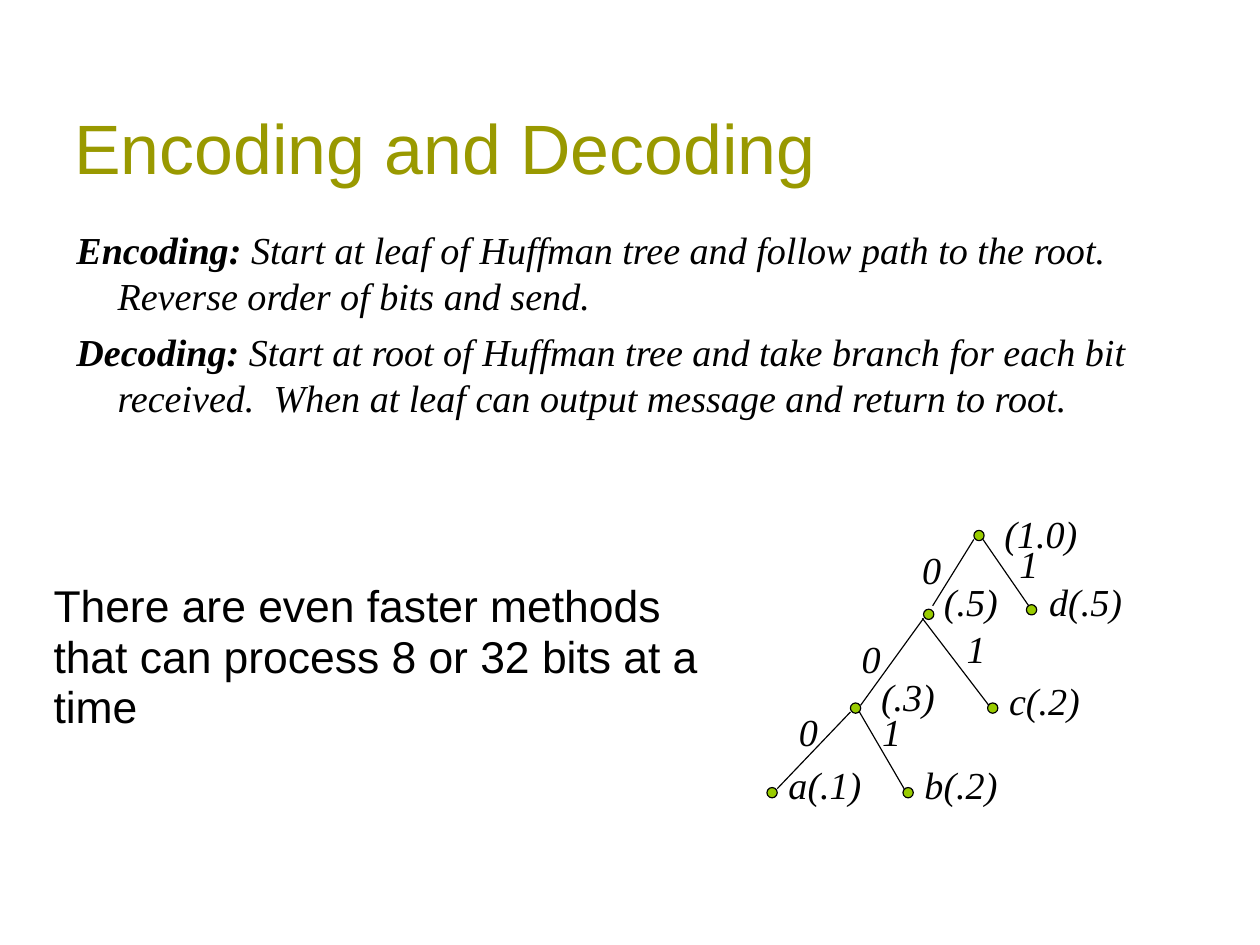
from lxml import etree
from pptx import Presentation
from pptx.dml.color import RGBColor
from pptx.enum.shapes import MSO_CONNECTOR, MSO_SHAPE
from pptx.enum.text import MSO_ANCHOR, MSO_AUTO_SIZE
from pptx.oxml.ns import qn
from pptx.util import Cm, Inches, Pt

STRAIGHT = MSO_CONNECTOR.STRAIGHT
OVAL = MSO_SHAPE.OVAL
TOP, BOTTOM = MSO_ANCHOR.TOP, MSO_ANCHOR.BOTTOM
GROW, FIXED = MSO_AUTO_SIZE.SHAPE_TO_FIT_TEXT, MSO_AUTO_SIZE.NONE

NODES = [
    (8.52, 4.64, "(1.0)", 8.69, 4.42, 0.84),
    (8.08, 5.33, "(.5)", 8.16, 5.01, 0.67),
    (8.98, 5.29, "d(.5)", 9.08, 5.01, 0.84),
    (7.44, 6.15, "(.3)", 7.61, 5.84, 0.67),
    (8.64, 6.15, "c(.2)", 8.73, 5.88, 0.82),
    (6.71, 6.89, "a(.1)", 6.8, 6.61, 0.84),
    (7.9, 6.89, "b(.2)", 7.99, 6.61, 0.84),
]
BRANCHES = [
    (8.52, 4.72, 8.16, 5.3, "0", 7.97, 4.73),
    (8.6, 4.72, 9, 5.3, "1", 8.82, 4.68),
    (8.08, 5.41, 7.53, 6.17, "0", 7.44, 5.51),
    (8.07, 5.41, 8.65, 6.17, "1", 8.36, 5.42),
    (7.44, 6.23, 6.8, 6.9, "0", 6.89, 6.15),
    (7.52, 6.23, 7.91, 6.9, "1", 7.62, 6.15),
]
DEFINITIONS = [
    ("Encoding: ", "Start at leaf of Huffman tree and follow path to the root.  "
     "Reverse order of bits and send."),
    ("Decoding: ", "Start at root of Huffman tree and take branch for each bit received.  "
     "When at leaf can output message and return to root."),
]


def color(value):
    return RGBColor.from_string(value)


def add_text(paragraph, text, font="Times New Roman", size=24, ink="000000",
             bold=False, italic=False, spacing=1.0):
    paragraph.line_spacing = spacing
    run = paragraph.add_run()
    run.text = text
    run.font.name, run.font.size = font, Pt(size)
    run.font.bold, run.font.italic = bold, italic
    run.font.color.rgb = color(ink)


class TreeSlide:
    """Draws text and tree parts on one slide in a shared style."""

    ink = "000000"
    leaf = "99CC00"
    dot_size = 0.09
    line_width = 0.75

    def __init__(self, slide):
        self.slide = slide

    def frame(self, left, top, width, height, anchor=TOP, wrap=True, fit=FIXED):
        box = self.slide.shapes.add_textbox(
            Inches(left), Inches(top), Inches(width), Inches(height))
        text_frame = box.text_frame
        text_frame.word_wrap = wrap
        text_frame.auto_size = fit
        text_frame.vertical_anchor = anchor
        return text_frame

    def definitions(self, entries, left, top, width, height):
        text_frame = self.frame(left, top, width, height)
        for index, (term, meaning) in enumerate(entries):
            paragraph = text_frame.add_paragraph() if index else text_frame.paragraphs[0]
            paragraph.space_before = Pt(7 if index else 0)
            properties = paragraph._p.get_or_add_pPr()
            properties.set("marL", str(Inches(0.38)))
            properties.set("indent", str(Inches(-0.36)))
            add_text(paragraph, term, bold=True, italic=True)
            add_text(paragraph, meaning, italic=True)

    def label(self, text, left, top, width=0.36):
        text_frame = self.frame(left, top, width, 0.5, wrap=False, fit=GROW)
        add_text(text_frame.paragraphs[0], text, italic=True)

    def dot(self, left, top):
        shape = self.slide.shapes.add_shape(
            OVAL, Inches(left), Inches(top), Inches(self.dot_size), Inches(self.dot_size))
        shape.shadow.inherit = False
        shape.fill.solid()
        shape.fill.fore_color.rgb = color(self.leaf)
        shape.line.color.rgb = color(self.ink)
        shape.line.width = Pt(self.line_width)

    def edge(self, *ends):
        connector = self.slide.shapes.add_connector(STRAIGHT, *map(Inches, ends))
        connector.line.color.rgb = color(self.ink)
        connector.line.width = Pt(self.line_width)
        etree.SubElement(connector._element.spPr, qn("a:effectLst"))


def main():
    presentation = Presentation()
    presentation.slide_width = Cm(28)
    presentation.slide_height = Cm(21)
    page = TreeSlide(presentation.slides.add_slide(presentation.slide_layouts[6]))

    title = page.frame(0.55, 0.34, 9.92, 1.37, anchor=BOTTOM)
    add_text(title.paragraphs[0], "Encoding and Decoding", font="Arial", size=44,
             ink="999900", spacing=0.94)
    page.definitions(DEFINITIONS, 0.55, 1.93, 9.92, 5.46)

    for left, top, text, label_left, label_top, label_width in NODES:
        page.dot(left, top)
        page.label(text, label_left, label_top, label_width)
    for *ends, bit, bit_left, bit_top in BRANCHES:
        page.edge(*ends)
        page.label(bit, bit_left, bit_top)

    remark = page.frame(0.37, 5.05, 6.17, 1.42, fit=GROW)
    add_text(remark.paragraphs[0],
             "There are even faster methods that can process 8 or 32 bits at a time",
             font="Arial", size=28, spacing=0.94)
    presentation.save("out.pptx")


if __name__ == "__main__":
    main()
